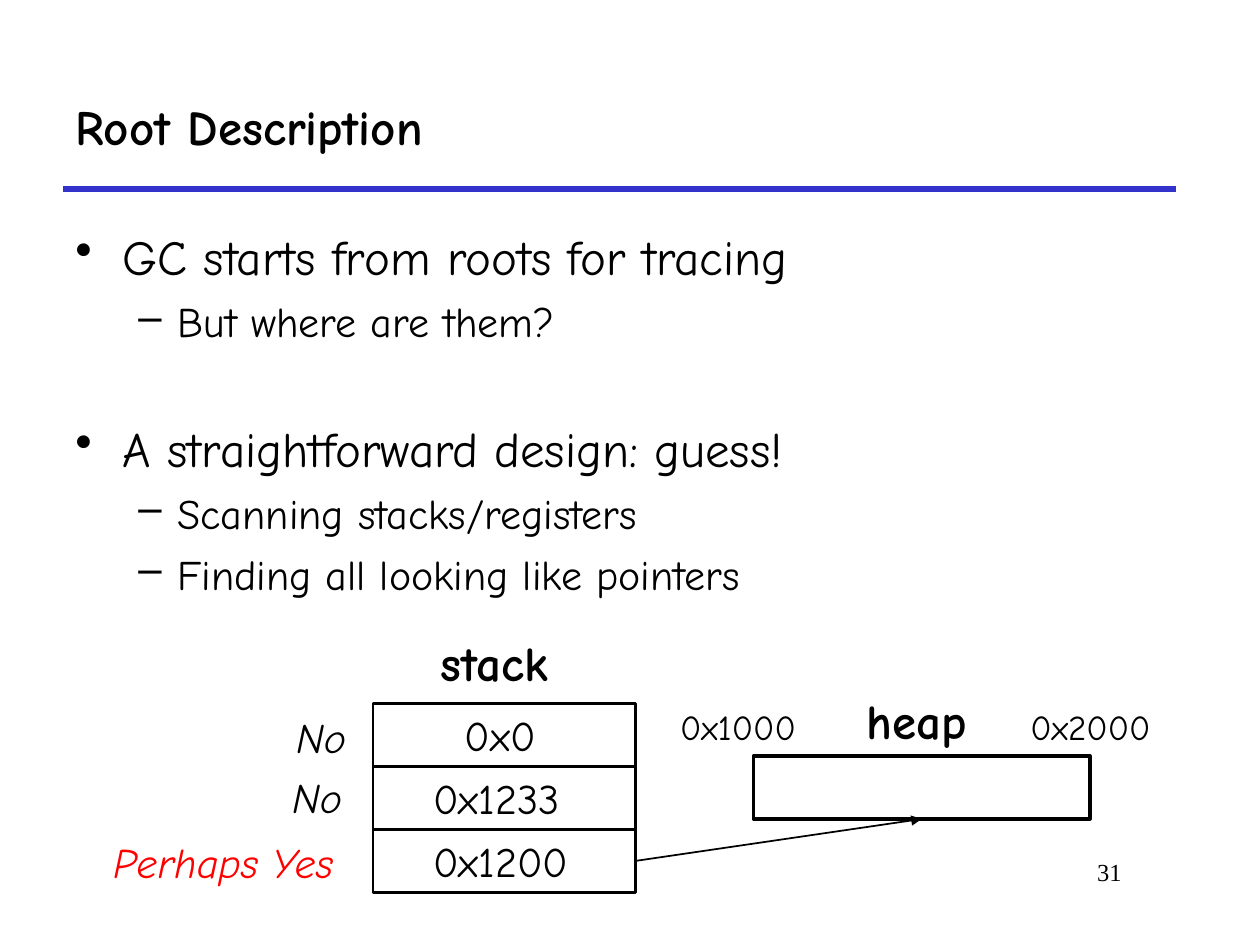
"""Build the Root Description slide on finding garbage collection roots."""
from lxml import etree
from pptx import Presentation
from pptx.dml.color import RGBColor
from pptx.enum.shapes import MSO_CONNECTOR, MSO_SHAPE
from pptx.enum.text import MSO_ANCHOR, PP_ALIGN
from pptx.oxml.ns import qn
from pptx.util import Cm, Pt

STRAIGHT = MSO_CONNECTOR.STRAIGHT
RECTANGLE = MSO_SHAPE.RECTANGLE
TOP, MIDDLE = MSO_ANCHOR.TOP, MSO_ANCHOR.MIDDLE
LEFT, RIGHT = PP_ALIGN.LEFT, PP_ALIGN.RIGHT
BLACK = RGBColor(0x00, 0x00, 0x00)
RED = RGBColor(0xFF, 0x00, 0x00)
BLUE = RGBColor(0x33, 0x33, 0xCC)

BASE = {"name": "Comic Neue", "size": Pt(24), "bold": False, "italic": False}
HEADING = {"size": Pt(28), "bold": True}
ADDRESS = {"size": Pt(20)}
VERDICT = {"italic": True}
NUMBER = {"name": "Times New Roman", "size": Pt(14)}

LEVELS = [
    {"bullet": "•", "size": 28, "indent": 0.95, "hang": 0.95},
    {"bullet": "–", "size": 24, "indent": 2.06, "hang": 0.79},
]
POINTS = [
    (0, "GC starts from roots for tracing", 0),
    (1, "But where are them?", 5.8),
    (0, "A straightforward design: guess!", 41.3),
    (1, "Scanning stacks/registers", 5.8),
    (1, "Finding all looking like pointers", 5.8),
]
BODY = (1.27, 4.45, 23.06, 12.27)
TITLE = ("Root Description", (1.27, 1.27, 22.43, 2.54))
PAGE_NUMBER = ("31", (17.58, 17.15, 5.28, 1.27))

CELL_LEFT, CELL_TOP, CELL_WIDTH, CELL_HEIGHT = 7.52, 14.18, 5.29, 1.27
STACK = [
    ("0x0", 9.12, 2.06, "No", 5.72, 14.22, 1.65, BLACK),
    ("0x1233", 8.48, 3.48, "No", 5.64, 15.42, 1.65, BLACK),
    ("0x1200", 8.48, 3.48, "Perhaps Yes", 2.03, 16.74, 5.31, RED),
]
HEAP = (15.19, 15.24, 6.78, 1.27)
LABELS = [
    ("stack", (8.64, 12.62, 3.02, 1.45), HEADING),
    ("heap", (17.22, 13.79, 2.69, 1.45), HEADING),
    ("0x1000", (13.46, 14.1, 3.0, 1.12), ADDRESS),
    ("0x2000", (20.52, 14.1, 3.12, 1.12), ADDRESS),
]


def add_span(para, text, style, color=BLACK):
    span = para.add_run()
    span.text = text
    for name, value in {**BASE, **style}.items():
        setattr(span.font, name, value)
    span.font.color.rgb = color


def add_text(page, text, place, style, color=BLACK, wrap=False, anchor=TOP, align=LEFT):
    frame = page.shapes.add_textbox(*map(Cm, place)).text_frame
    frame.word_wrap = wrap
    frame.vertical_anchor = anchor
    frame.paragraphs[0].alignment = align
    add_span(frame.paragraphs[0], text, style, color)


def add_points(page):
    frame = page.shapes.add_textbox(*map(Cm, BODY)).text_frame
    frame.word_wrap = True
    for index, (depth, text, gap) in enumerate(POINTS):
        level = LEVELS[depth]
        para = frame.add_paragraph() if index else frame.paragraphs[0]
        para.level = depth
        para.space_before = Pt(gap)
        properties = para._p.get_or_add_pPr()
        properties.set("marL", str(Cm(level["indent"])))
        properties.set("indent", str(-Cm(level["hang"])))
        etree.SubElement(properties, qn("a:buChar"), char=level["bullet"])
        add_span(para, text, {"size": Pt(level["size"])})


def add_box(page, place, width):
    box = page.shapes.add_shape(RECTANGLE, *map(Cm, place))
    box.shadow.inherit = False
    box.fill.background()
    box.line.color.rgb = BLACK
    box.line.width = Pt(width)


def add_line(page, ends, color, width, arrow=False):
    line = page.shapes.add_connector(STRAIGHT, *map(Cm, ends))
    line.line.color.rgb = color
    line.line.width = Pt(width)
    if arrow:
        etree.SubElement(line.line._get_or_add_ln(), qn("a:tailEnd"), type="triangle")
    etree.SubElement(line._element.spPr, qn("a:effectLst"))


def add_stack(page):
    for row, (value, left, width, verdict, x, y, span_width, color) in enumerate(STACK):
        top = CELL_TOP + row * CELL_HEIGHT
        add_box(page, (CELL_LEFT, top, CELL_WIDTH, CELL_HEIGHT), 1.5)
        add_text(page, value, (left, top, width, CELL_HEIGHT), {})
        add_text(page, verdict, (x, y, span_width, CELL_HEIGHT), VERDICT, color)


def main():
    deck = Presentation()
    deck.slide_width, deck.slide_height = Cm(25.4), Cm(19.05)
    page = deck.slides.add_slide(deck.slide_layouts[6])
    add_line(page, (1.27, 3.81, 23.7, 3.81), BLUE, 3)
    add_text(page, *TITLE, HEADING, wrap=True, anchor=MIDDLE)
    add_points(page)
    add_text(page, *PAGE_NUMBER, NUMBER, wrap=True, align=RIGHT)
    add_stack(page)
    add_box(page, HEAP, 2)
    for text, place, style in LABELS:
        add_text(page, text, place, style)
    left, top, width, height = HEAP
    start = (CELL_LEFT + CELL_WIDTH, CELL_TOP + 2.5 * CELL_HEIGHT)
    add_line(page, (*start, left + width / 2, top + height), BLACK, 1, arrow=True)
    deck.save("out.pptx")


if __name__ == "__main__":
    main()
